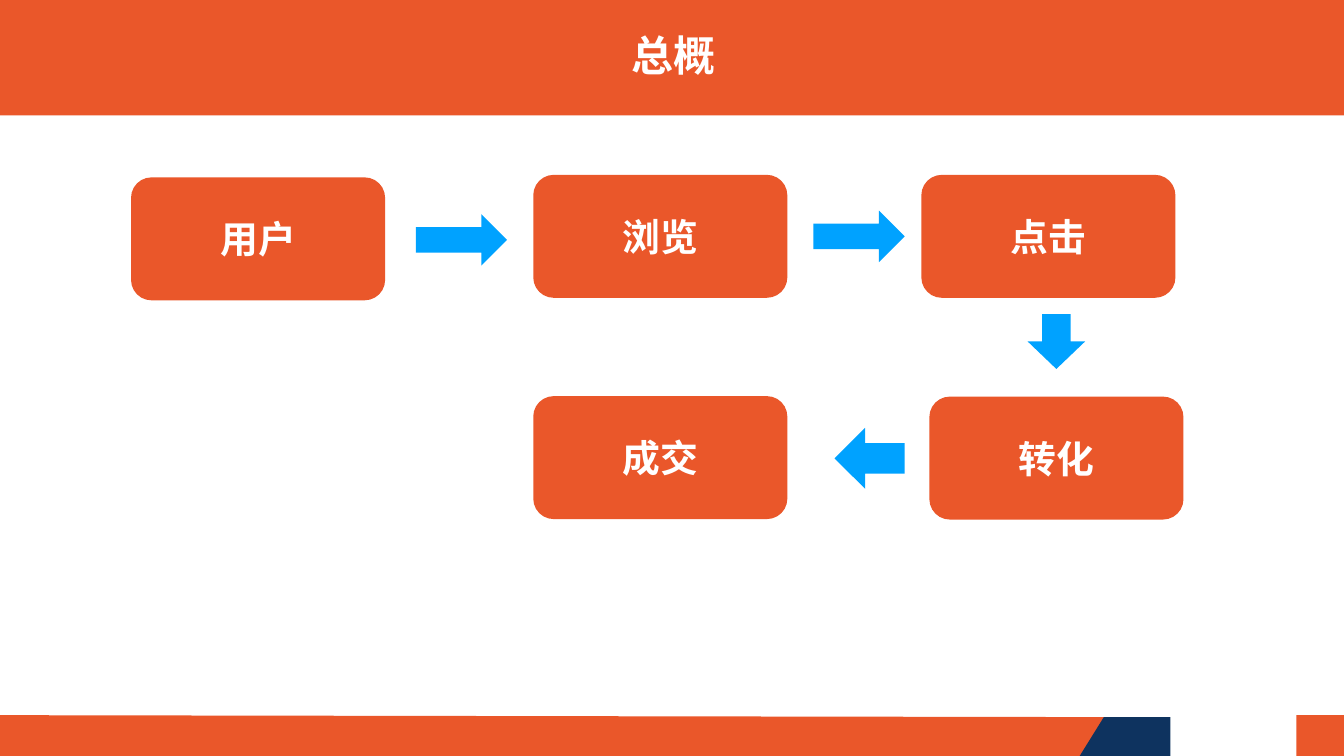
import pptx
import pptx.dml.color
import pptx.enum.shapes
import pptx.enum.text
import pptx.oxml.ns
import pptx.util
from lxml import etree

Pt = pptx.util.Pt
RGBColor = pptx.dml.color.RGBColor
MSO_SHAPE = pptx.enum.shapes.MSO_SHAPE

ORANGE = RGBColor(0xEA, 0x57, 0x2A)
NAVY = RGBColor(0x0E, 0x33, 0x5F)
BLUE = RGBColor(0x00, 0xA2, 0xFF)
WHITE = RGBColor(0xFF, 0xFF, 0xFF)

WIDTH, HEIGHT = 1920, 1080
STEP_WIDTH, STEP_HEIGHT = 363, 175.7


class FlowSlide:
    font_name = "Noto Sans CJK SC"

    def __init__(self, slide):
        self.slide = slide
        self.shapes = slide.shapes

    def paint(self, shape, color):
        shape.shadow.inherit = False
        shape.fill.solid()
        shape.fill.fore_color.rgb = color
        shape.line.fill.background()
        return shape

    def block(self, kind, left, top, width, height, color):
        shape = self.shapes.add_shape(kind, Pt(left), Pt(top), Pt(width), Pt(height))
        return self.paint(shape, color)

    def polygon(self, corners, color):
        start, *others = [(Pt(x), Pt(y)) for x, y in corners]
        builder = self.shapes.build_freeform(*start)
        builder.add_line_segments(others, close=True)
        return self.paint(builder.convert_to_shape(), color)

    def label(self, shape, words, size, anchor, inset):
        """Put one centred, bold white line into a shape."""
        frame = shape.text_frame
        frame.word_wrap = True
        frame.vertical_anchor = anchor
        frame.margin_left = frame.margin_right = Pt(inset)
        frame.margin_top = frame.margin_bottom = Pt(inset)
        paragraph = frame.paragraphs[0]
        paragraph.text = words
        paragraph.alignment = pptx.enum.text.PP_ALIGN.CENTER
        font = paragraph.font
        font.name = self.font_name
        font.size = Pt(size)
        font.bold = True
        font.color.rgb = WHITE
        # East Asian text takes its typeface from a:ea
        for properties in paragraph._p.xpath("./a:pPr/a:defRPr"):
            east_asian = etree.SubElement(properties, pptx.oxml.ns.qn("a:ea"))
            east_asian.set("typeface", self.font_name)
        return paragraph

    def title(self, words):
        self.block(MSO_SHAPE.RECTANGLE, 0, 0, WIDTH, 165, ORANGE)
        box = self.shapes.add_textbox(Pt(64.8), Pt(44.6), Pt(1793.5), Pt(75))
        line = self.label(box, words, 60, pptx.enum.text.MSO_ANCHOR.TOP, 3.6)
        line.line_spacing = 0.93

    def step(self, words, left, top):
        box = self.block(MSO_SHAPE.ROUNDED_RECTANGLE, left, top,
                         STEP_WIDTH, STEP_HEIGHT, ORANGE)
        self.label(box, words, 54, pptx.enum.text.MSO_ANCHOR.MIDDLE, 4.3)

    def arrow(self, kind, left, top, width, height, rotation=0):
        self.block(kind, left, top, width, height, BLUE).rotation = rotation

    def footer(self):
        stripe = self.polygon([(0, 1021.7), (1646.6, 1024.6),
                               (1548.7, 1081.4), (0, 1081.4)], ORANGE)
        wedge = self.polygon([(1576.8, 1024.6), (1671.8, 1024.6),
                              (1671.8, HEIGHT), (1541.5, 1081.4)], NAVY)
        corner = self.block(MSO_SHAPE.RECTANGLE, 1851.8, 1021.7, 68.4, 59.7, ORANGE)
        self.shapes.add_group_shape([stripe, wedge, corner])


def main():
    deck = pptx.Presentation()
    deck.slide_width, deck.slide_height = Pt(WIDTH), Pt(HEIGHT)
    overview = FlowSlide(deck.slides.add_slide(deck.slide_layouts[6]))

    overview.title("总概")
    overview.footer()

    for words, left, top in [
        ("用户", 187.2, 253.4),
        ("浏览", 761.8, 249.8),
        ("点击", 1316.2, 249.8),
        ("转化", 1327.7, 566.6),
        ("成交", 761.8, 565.9),
    ]:
        overview.step(words, left, top)

    overview.arrow(MSO_SHAPE.RIGHT_ARROW, 594, 306, 130.3, 73.4)
    overview.arrow(MSO_SHAPE.RIGHT_ARROW, 1162.1, 301, 130.3, 73.4)
    overview.arrow(MSO_SHAPE.DOWN_ARROW, 1468.1, 448.6, 82, 78.5)
    overview.arrow(MSO_SHAPE.RIGHT_ARROW, 1192.3, 611.3, 100, 87, rotation=180)

    deck.save("out.pptx")


if __name__ == "__main__":
    main()
